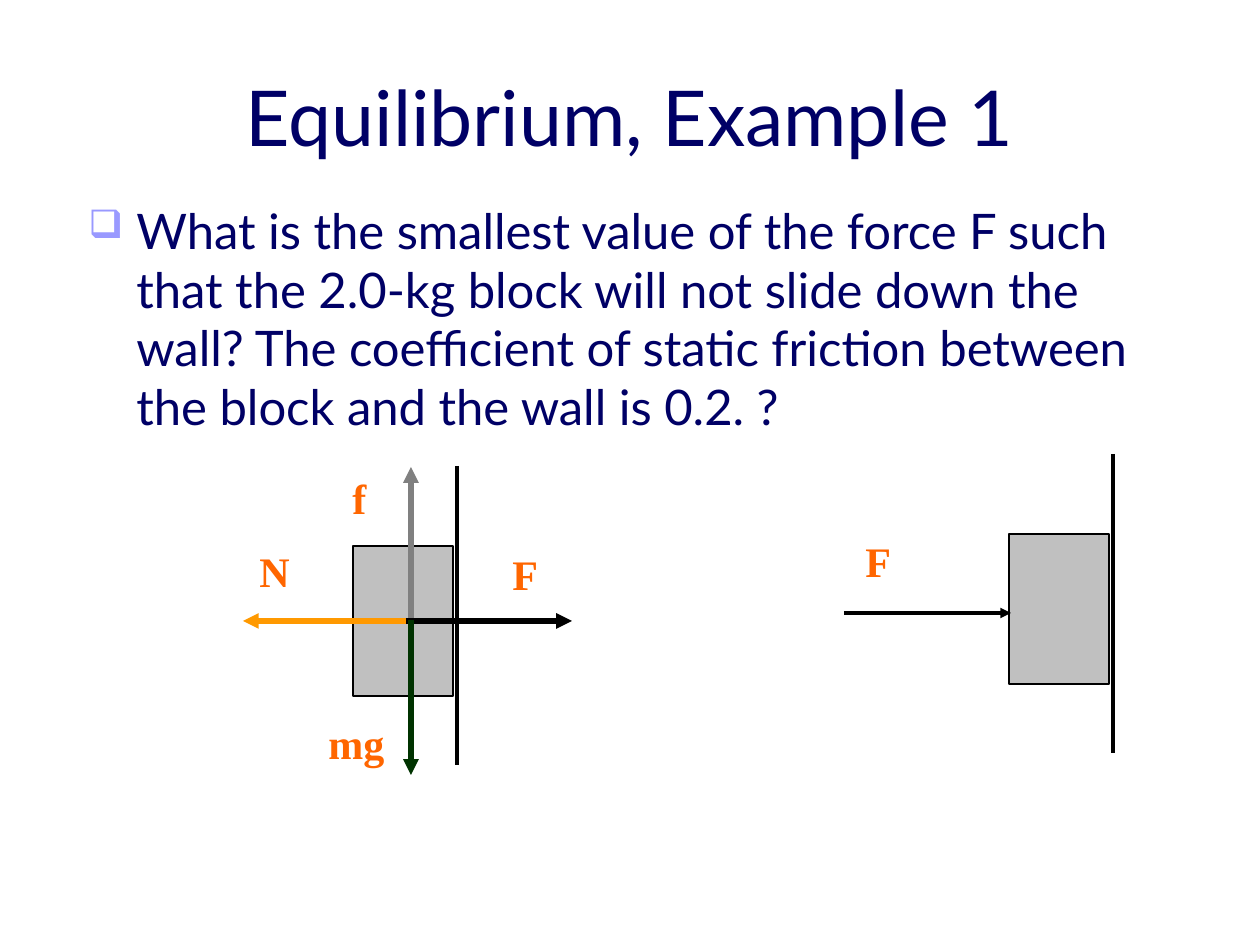
from pptx import Presentation
from pptx import util as u
from pptx.dml.color import RGBColor
from pptx.enum import shapes, text
from pptx.oxml import parse_xml
from pptx.oxml.ns import nsdecls, qn
from lxml import etree

PX = u.Inches(1) / 126  # one px in EMU
NAVY, ORANGE, GREY, BLACK = "000066", "FF6600", "C0C0C0", "000000"

TITLE = "Equilibrium, Example 1"
QUESTION = ("What is the smallest value of the force F such that the 2.0-kg block "
            "will not slide down the wall? The coefficient of static friction "
            "between the block and the wall is 0.2. ?")

# Each diagram: wall top, then block, forces and labels, all in px
BLOCK_SIZE = (100, 150)
WALL_LENGTH = 299
WALL_OFFSET = (104, -80)  # wall top, measured from the block's corner
LABEL_HEIGHT = 63
DIAGRAMS = [
    {"block": (1009, 534),
     "forces": [((844, 613), (1011, 613), BLACK, 2)],
     "labels": [("F", 853, 529, 50)]},
    {"block": (353, 546),
     "forces": [((409, 621), (243, 621), "FF9900", 3),
                ((411, 622), (411, 467), "808080", 3),
                ((406, 621), (572, 621), BLACK, 3),
                ((411, 620), (411, 775), "003300", 3)],
     "labels": [("mg", 316, 711, 81), ("N", 247, 539, 55),
                ("f", 340, 466, 39), ("F", 500, 542, 50)]},
]


def px(*lengths):
    return [u.Emu(round(length * PX)) for length in lengths]


def color(value):
    return RGBColor.from_string(value)


def add_text(page, words, area, size, font="Lato", ink=NAVY, bold=False,
             align=text.PP_ALIGN.CENTER, anchor=text.MSO_ANCHOR.TOP, wrap=True):
    box = page.shapes.add_textbox(*px(*area))
    frame = box.text_frame
    frame.word_wrap = wrap
    frame.vertical_anchor = anchor
    para = frame.paragraphs[0]
    para.alignment = align
    span = para.add_run()
    span.text = words
    span.font.name = font
    span.font.size = u.Pt(size)
    span.font.bold = bold
    span.font.color.rgb = color(ink)
    return para


def add_bullet(para, mark, ink, percent, indent):
    props = para._p.get_or_add_pPr()
    hang = px(indent)[0]
    props.set("marL", str(hang))
    props.set("indent", str(-hang))
    for xml in (f'<a:buClr {nsdecls("a")}><a:srgbClr val="{ink}"/></a:buClr>',
                f'<a:buSzPct {nsdecls("a")} val="{percent * 1000}"/>',
                f'<a:buChar {nsdecls("a")} char="{mark}"/>'):
        props.append(parse_xml(xml))


def add_line(page, start, end, ink, width, arrow=False):
    line = page.shapes.add_connector(shapes.MSO_CONNECTOR.STRAIGHT,
                                     *px(*start, *end))
    line.line.color.rgb = color(ink)
    line.line.width = u.Pt(width)
    if arrow:
        etree.SubElement(line.line._get_or_add_ln(), qn("a:tailEnd"), type="triangle")
    etree.SubElement(line._element.spPr, qn("a:effectLst"))


def add_block(page, corner):
    block = page.shapes.add_shape(shapes.MSO_SHAPE.RECTANGLE,
                                  *px(*corner, *BLOCK_SIZE))
    block.shadow.inherit = False
    block.fill.solid()
    block.fill.fore_color.rgb = color(GREY)
    block.line.color.rgb = color(BLACK)
    block.line.width = u.Pt(1)


def add_diagram(page, diagram):
    left, top = diagram["block"]
    wall_x, wall_y = left + WALL_OFFSET[0], top + WALL_OFFSET[1]
    add_line(page, (wall_x, wall_y), (wall_x, wall_y + WALL_LENGTH), BLACK, 2)
    add_block(page, diagram["block"])
    for start, end, ink, width in diagram["forces"]:
        add_line(page, start, end, ink, width, arrow=True)
    for words, x, y, width in diagram["labels"]:
        add_text(page, words, (x, y, width, LABEL_HEIGHT), 24,
                 font="Times New Roman", ink=ORANGE, bold=True, wrap=False)


def main():
    deck = Presentation()
    deck.slide_width, deck.slide_height = px(1260, 945)
    page = deck.slides.add_slide(deck.slide_layouts[6])

    # Question and title
    question = add_text(page, QUESTION, (76, 194, 1121, 640), 28,
                        align=text.PP_ALIGN.LEFT)
    add_bullet(question, "❑", "9999FF", 80, 48)
    add_text(page, TITLE, (63, 53, 1134, 126), 44, anchor=text.MSO_ANCHOR.MIDDLE)

    # Block against the wall, and its free-body diagram
    for diagram in DIAGRAMS:
        add_diagram(page, diagram)

    deck.save("out.pptx")


if __name__ == "__main__":
    main()
